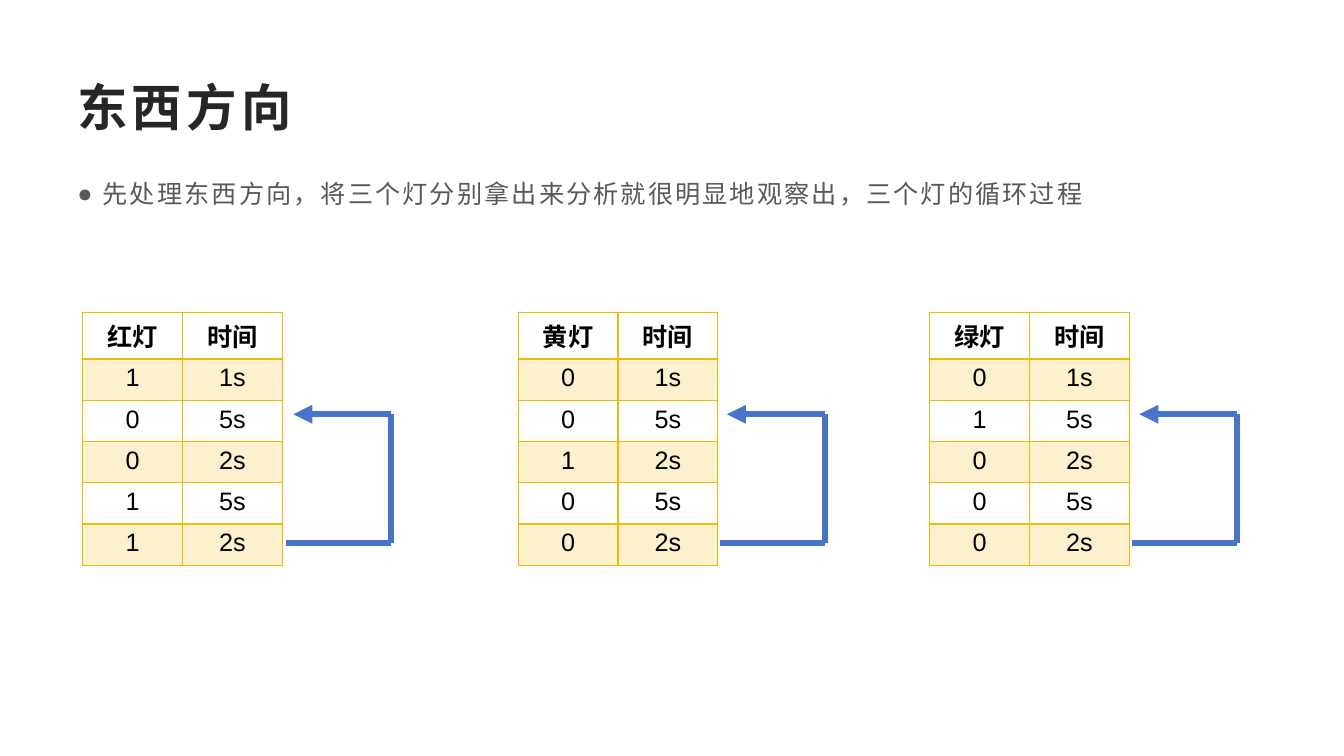
from lxml import etree
from pptx import Presentation
from pptx.dml.color import RGBColor
from pptx.enum.shapes import MSO_CONNECTOR
from pptx.enum.text import MSO_ANCHOR, PP_ALIGN
from pptx.oxml.ns import qn
from pptx.util import Inches, Pt

STRAIGHT = MSO_CONNECTOR.STRAIGHT
CENTER = PP_ALIGN.CENTER
TOP, MIDDLE = MSO_ANCHOR.TOP, MSO_ANCHOR.MIDDLE

GOLD, BLUE = "F2BA02", "4874CB"
TITLE_FORMAT = {"size": Pt(36), "bold": True}
BODY_FORMAT = {"size": Pt(18), "bold": False}
HEADER_FORMAT = {"size": Pt(18), "bold": True}

# Lamp name, table left, loop left, lamp state in each phase
LAMPS = [
    ("红灯", 0.82, 2.84, "10011"),
    ("黄灯", 5.14, 7.14, "00100"),
    ("绿灯", 9.22, 11.23, "01000"),
]
PHASE_TIMES = ["1s", "5s", "2s", "5s", "2s"]


def color(value):
    return RGBColor.from_string(value)


def add_element(parent, tag, **attributes):
    return etree.SubElement(parent, qn(tag), attributes)


class SlideBuilder:
    font_name = "Arial"

    def __init__(self, slide):
        self.slide = slide

    def add_run(self, paragraph, text, text_color, text_format, spacing=0):
        run = paragraph.add_run()
        run.text = text
        for name, value in {"name": self.font_name, **text_format}.items():
            setattr(run.font, name, value)
        run.font.color.rgb = color(text_color)
        if spacing:
            run._r.get_or_add_rPr().set("spc", str(int(spacing * 100)))

    def text(self, box, anchor, text, text_color, text_format, spacing):
        shape = self.slide.shapes.add_textbox(*map(Inches, box))
        frame = shape.text_frame
        frame.word_wrap = True
        frame.vertical_anchor = anchor
        paragraph = frame.paragraphs[0]
        self.add_run(paragraph, text, text_color, text_format, spacing)
        return paragraph

    def bullet(self, paragraph, character, indent):
        paragraph.line_spacing = 1.3
        paragraph.space_after = Pt(10)
        properties = paragraph._p.get_or_add_pPr()
        properties.set("marL", str(Inches(indent)))
        properties.set("indent", str(-Inches(indent)))
        add_element(properties, "a:buFont", typeface=self.font_name)
        add_element(properties, "a:buChar", char=character)

    def cell(self, cell, text, text_format, borders, shaded):
        paragraph = cell.text_frame.paragraphs[0]
        paragraph.alignment = CENTER
        self.add_run(paragraph, text, "000000", text_format)
        properties = cell._tc.get_or_add_tcPr()
        for side, width in zip("LRTB", borders):
            line = add_element(properties, f"a:ln{side}", w=str(Pt(width)))
            line_fill = add_element(line, "a:solidFill")
            add_element(line_fill, "a:srgbClr", val=GOLD)
        if shaded:
            cell_fill = add_element(properties, "a:solidFill")
            tint = add_element(cell_fill, "a:srgbClr", val=GOLD)
            add_element(tint, "a:alpha", val="20000")
        else:
            cell.fill.background()

    def table(self, left, top, rows, column_width, header_height, row_height):
        columns = len(rows[0])
        height = header_height + row_height * (len(rows) - 1)
        table = self.slide.shapes.add_table(
            len(rows), columns, Inches(left), Inches(top),
            Inches(column_width * columns), Inches(height)).table
        table.first_row = table.horz_banding = False
        for column in table.columns:
            column.width = Inches(column_width)
        for i, row in enumerate(rows):
            table.rows[i].height = Inches(row_height if i else header_height)
            text_format = BODY_FORMAT if i else HEADER_FORMAT
            borders = (1, 1, 2 if i == 1 else 1, 1 if i else 2)
            for j, text in enumerate(row):
                self.cell(table.cell(i, j), text, text_format, borders, i % 2 == 1)

    def line(self, start, end, arrow=False):
        connector = self.slide.shapes.add_connector(
            STRAIGHT, *map(Inches, (*start, *end)))
        connector.line.color.rgb = color(BLUE)
        connector.line.width = Pt(4.5)
        properties = connector._element.spPr
        if arrow:
            add_element(properties.find(qn("a:ln")), "a:tailEnd", type="triangle")
        add_element(properties, "a:effectLst")

    def loop(self, left, top, bottom):
        right = left + 1.04
        points = [(left, bottom), (right, bottom), (right, top), (left + 0.07, top)]
        for i in range(3):
            self.line(points[i], points[i + 1], arrow=i == 2)


def main():
    presentation = Presentation()
    presentation.slide_width = Inches(13.33)
    presentation.slide_height = Inches(7.5)
    slide = presentation.slides.add_slide(presentation.slide_layouts[6])
    builder = SlideBuilder(slide)

    # Title and explanation
    builder.text((0.67, 0.67, 12, 0.77), MIDDLE, "东西方向", "262626", TITLE_FORMAT, 3)
    explanation = builder.text(
        (0.67, 1.63, 12, 0.7), TOP,
        "先处理东西方向，将三个灯分别拿出来分析就很明显地观察出，三个灯的循环过程",
        "595959", BODY_FORMAT, 1.5)
    builder.bullet(explanation, "●", 0.25)

    # One table for each lamp
    for name, table_left, _, states in LAMPS:
        rows = [(name, "时间"), *zip(states, PHASE_TIMES)]
        builder.table(table_left, 3.1, rows, 0.99, 0.46, 0.41)

    # Arrows that lead the last phase back to the second
    for _, _, loop_left, _ in LAMPS:
        builder.loop(loop_left, 4.11, 5.39)

    presentation.save("out.pptx")


if __name__ == "__main__":
    main()
